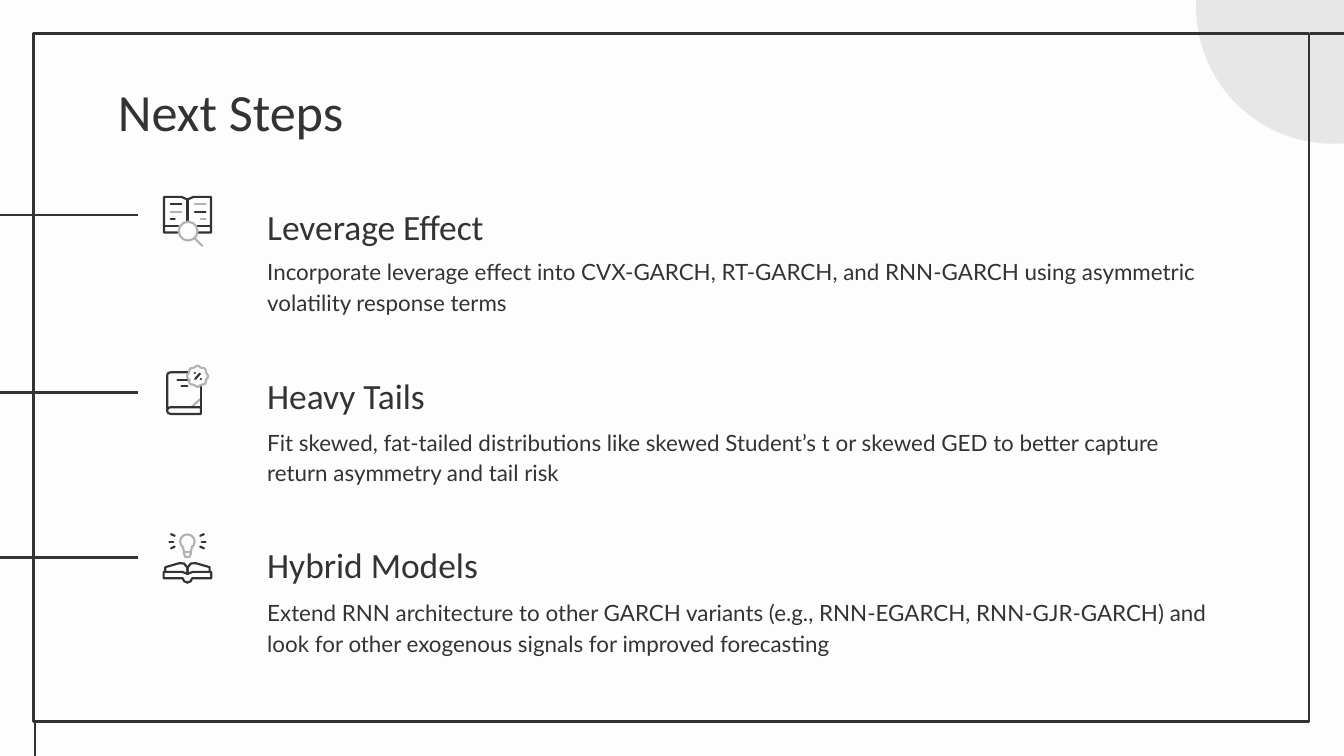
from math import cos, pi, sin

from lxml import etree
from pptx import Presentation
from pptx.dml.color import RGBColor
from pptx.enum.shapes import MSO_CONNECTOR, MSO_SHAPE
from pptx.enum.text import MSO_ANCHOR
from pptx.oxml.ns import qn
from pptx.util import Inches, Pt

STRAIGHT = MSO_CONNECTOR.STRAIGHT
OVAL, RECTANGLE = MSO_SHAPE.OVAL, MSO_SHAPE.RECTANGLE
TOP, BOTTOM = MSO_ANCHOR.TOP, MSO_ANCHOR.BOTTOM

COLORS = {"background": "FDFDFD", "ink": "333333", "circle": "E8E7E7", "grey": "B2B2B2"}
SLIDE_WIDTH = 10
SLIDE_HEIGHT = SLIDE_WIDTH * 9 / 16
FRAME_WIDTH = 1.5
ICON_WIDTH = 1.15
ICON_LEFT = 1.2

STEPS = [
    ("Leverage Effect",
     "Incorporate leverage effect into CVX-GARCH, RT-GARCH, and RNN-GARCH "
     "using asymmetric volatility response terms"),
    ("Heavy Tails",
     "Fit skewed, fat-tailed distributions like skewed Student’s t or skewed GED "
     "to better capture return asymmetry and tail risk"),
    ("Hybrid Models",
     "Extend RNN architecture to other GARCH variants (e.g., RNN-EGARCH, RNN-GJR-GARCH) "
     "and look for other exogenous signals for improved forecasting"),
]


def rgb(name):
    return RGBColor.from_string(COLORS[name])


def set_line(shape, color, width):
    shape.line.color.rgb = rgb(color)
    shape.line.width = Pt(width)


def add_line(slide, start, end, color="ink", width=FRAME_WIDTH):
    line = slide.shapes.add_connector(STRAIGHT, *map(Inches, (*start, *end)))
    set_line(line, color, width)
    etree.SubElement(line._element.spPr, qn("a:effectLst"))
    return line


def add_preset(slide, preset, box, fill=None, line=None, width=FRAME_WIDTH):
    shape = slide.shapes.add_shape(preset, *map(Inches, box))
    shape.shadow.inherit = False
    if fill:
        shape.fill.solid()
        shape.fill.fore_color.rgb = rgb(fill)
    else:
        shape.fill.background()
    if line:
        set_line(shape, line, width)
    else:
        shape.line.fill.background()


def add_text(slide, text, box, size, font="Calibri", anchor=TOP, spacing=1.0):
    frame = slide.shapes.add_textbox(*map(Inches, box)).text_frame
    frame.word_wrap = True
    frame.vertical_anchor = anchor
    frame.margin_left = frame.margin_right = Inches(0.1)
    frame.margin_top = frame.margin_bottom = Inches(0.1)
    paragraph = frame.paragraphs[0]
    paragraph.line_spacing = spacing
    run = paragraph.add_run()
    run.text = text
    run.font.size = Pt(size)
    run.font.name = font
    run.font.color.rgb = rgb("ink")


def stroke(slide, top, points, color="ink", closed=False):
    """Draw an icon outline; points are hundredths of an inch from the icon corner."""
    points = [(ICON_LEFT + x / 100, top + y / 100) for x, y in points]
    if len(points) == 2:
        shape = add_line(slide, *points, color, ICON_WIDTH)
    else:
        first, *rest = [(Inches(x), Inches(y)) for x, y in points]
        builder = slide.shapes.build_freeform(*first)
        builder.add_line_segments(rest, close=closed)
        shape = builder.convert_to_shape()
        shape.shadow.inherit = False
        shape.fill.background()
        set_line(shape, color, ICON_WIDTH)
    shape.line._get_or_add_ln().set("cap", "rnd")


def mirror(points):
    return [(39 - x, y) for x, y in points]


def draw_search_book(slide, top):
    stroke(slide, top, [(12, 28), (2, 28), (2, 1.5), (15, 1.5), (19.5, 3.5),
                        (24, 1.5), (37, 1.5), (37, 28), (27, 28)])
    stroke(slide, top, [(19.5, 3.5), (19.5, 19.5)])
    for left, right in ((2, 12.5), (26.5, 37)):
        stroke(slide, top, [(left, 23.5), (right, 23.5)])
    for left, right, y, color in ((7, 15, 7, "ink"), (7, 15, 12.5, "grey"), (7, 10, 18, "ink"),
                                  (25, 33, 7, "grey"), (25, 33, 12.5, "ink"),
                                  (29.5, 33, 18, "grey")):
        stroke(slide, top, [(left, y), (right, y)], color)
    add_preset(slide, OVAL, (ICON_LEFT + 0.13, top + 0.2, 0.14, 0.14),
               line="grey", width=ICON_WIDTH)
    stroke(slide, top, [(25, 32.5), (30.5, 38)], "grey")


def draw_badge_book(slide, top):
    stroke(slide, top, [(22.5, 33), (29.5, 26.5)], "grey")
    stroke(slide, top, [(20.5, 7), (7, 7), (5, 7.7), (4.5, 9), (4.5, 36), (5, 37.3), (7, 38),
                        (29.5, 38), (29.5, 33), (7, 33), (5, 33.7), (4.5, 35)])
    stroke(slide, top, [(29.5, 33), (29.5, 17.5)])
    stroke(slide, top, [(12, 13), (21, 13)])
    stroke(slide, top, [(15, 17.5), (19.5, 17.5)])
    angles = [2 * pi * step / 48 for step in range(48)]
    radii = [7.4 + 0.5 * cos(8 * angle) for angle in angles]
    badge = [(27 + r * cos(a), 10 + r * sin(a)) for r, a in zip(radii, angles)]
    stroke(slide, top, badge, "grey", closed=True)
    stroke(slide, top, [(25.2, 12), (28.8, 8)])
    for x, y in ((25, 7.5), (29.5, 12)):
        stroke(slide, top, [(x - 0.1, y), (x + 0.1, y)])


def draw_idea_book(slide, top):
    cover = [(19.5, 31), (15.5, 29.5), (1.8, 29.5), (1.8, 34.3), (16, 34.3),
             (17, 36.5), (19.5, 37.5)]
    page = [(3, 29), (3, 26), (13.5, 23), (17, 23.3), (19.5, 26.5), (19.5, 31)]
    rays = [[(30, 7), (33, 7)], [(29, 2.7), (31.7, 1.5)], [(29, 10.7), (31.7, 12)]]
    for points in (cover, page, *rays):
        stroke(slide, top, points)
        stroke(slide, top, mirror(points))
    angles = [pi * degrees / 180 for degrees in range(130, 411, 14)]
    bulb = [(19.5 + 5.3 * cos(a), 7 + 5.3 * sin(a)) for a in angles]
    base = [(22, 14.5), (22, 16), (21, 18.5), (18, 18.5), (17, 16), (17, 14.5)]
    stroke(slide, top, bulb + base, "grey", closed=True)
    stroke(slide, top, [(17, 14.5), (22, 14.5)], "grey")


def draw_frame(slide):
    add_preset(slide, OVAL, (8.9, -0.97, 2.04, 2.04), fill="circle")
    for y in (1.6, 2.92, 4.15):
        add_line(slide, (0, y), (1.03, y))
    add_preset(slide, RECTANGLE, (0.25, 0.25, 9.49, 5.12), line="ink")
    add_line(slide, (9.75, 0.25), (SLIDE_WIDTH, 0.25))
    add_line(slide, (0.26, 5.38), (0.26, SLIDE_HEIGHT))


def main():
    presentation = Presentation()
    presentation.slide_width = Inches(SLIDE_WIDTH)
    presentation.slide_height = Inches(SLIDE_HEIGHT)
    slide = presentation.slides.add_slide(presentation.slide_layouts[6])
    slide.background.fill.solid()
    slide.background.fill.fore_color.rgb = rgb("background")

    draw_frame(slide)
    add_text(slide, "Next Steps", (0.78, 0.49, 8.43, 0.63), 28)
    for index, (heading, body) in enumerate(STEPS):
        add_text(slide, heading, (1.89, 1.36 + 1.26 * index, 7.23, 0.58), 19,
                 anchor=BOTTOM, spacing=1.15)
        add_text(slide, body, (1.89, 1.79 + 1.27 * index, 7.23, 0.58), 12,
                 font="Lato", spacing=1.15)
    draw_search_book(slide, 1.45)
    draw_badge_book(slide, 2.7)
    draw_idea_book(slide, 3.96)
    presentation.save("out.pptx")


if __name__ == "__main__":
    main()
